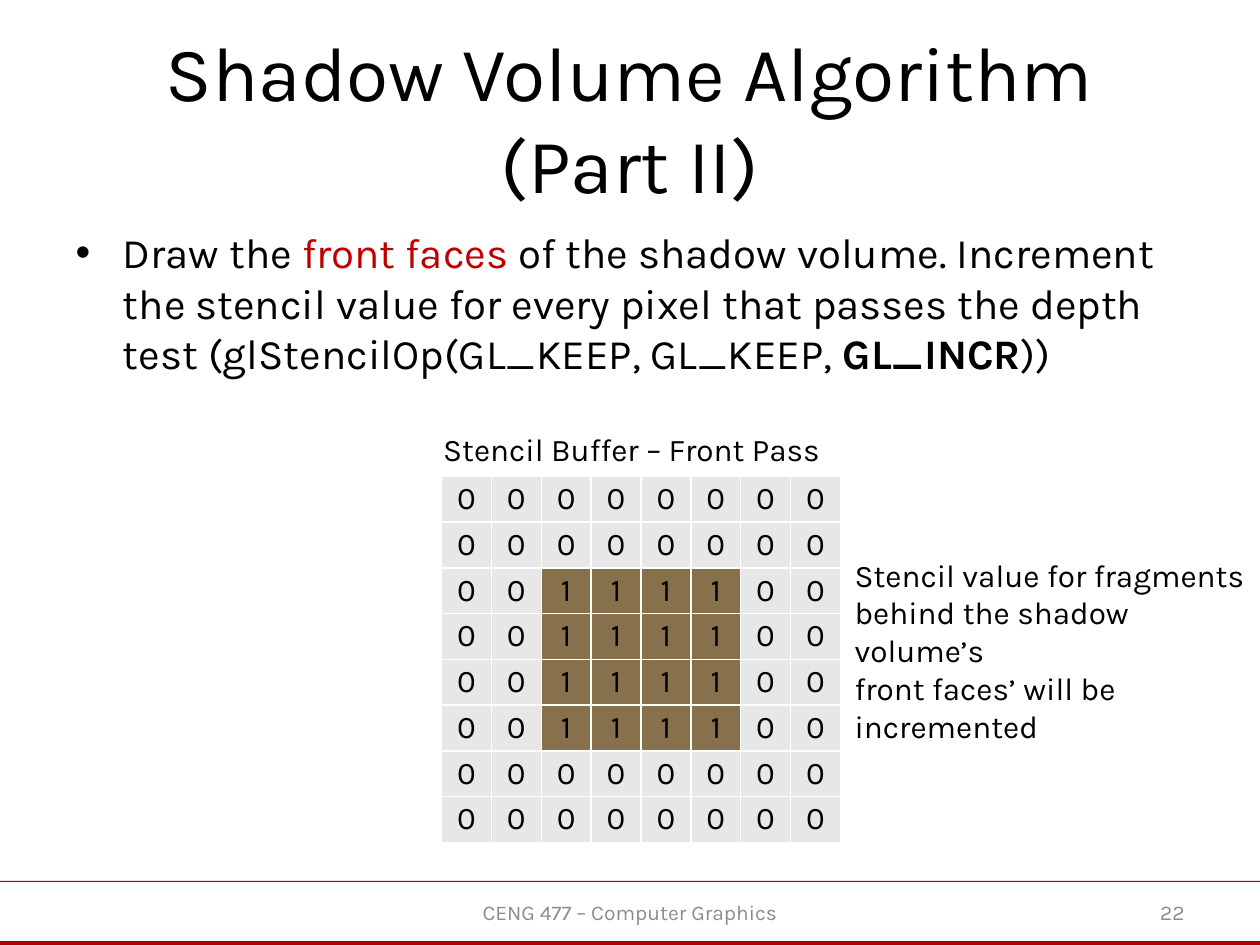
"""Build the slide on the front pass of the shadow volume algorithm."""
from lxml.etree import SubElement
from pptx import Presentation
from pptx.dml.color import RGBColor
from pptx.enum.shapes import MSO_SHAPE as Shape
from pptx.enum.text import MSO_ANCHOR as Anchor, MSO_AUTO_SIZE as AutoSize, PP_ALIGN as Align
from pptx.oxml.ns import qn
from pptx.util import Pt

BLACK = RGBColor(0x00, 0x00, 0x00)
WHITE = RGBColor(0xFF, 0xFF, 0xFF)
GRAY = RGBColor(0x8C, 0x8C, 0x8C)
RED = RGBColor(0xC0, 0x00, 0x00)
RULE_RED = RGBColor(0xAD, 0x01, 0x01)
LIT = RGBColor(0xE7, 0xE7, 0xE7)
SHADOWED = RGBColor(0x87, 0x71, 0x4D)


def add_span(para, text, size, color=BLACK, bold=False):
    span = para.add_run()
    span.text = text
    for name, value in {"name": "Karla", "size": Pt(size), "bold": bold}.items():
        setattr(span.font, name, value)
    span.font.color.rgb = color


def place(box, left, top, width, height, anchor=Anchor.TOP):
    for name, value in {"left": left, "top": top, "width": width, "height": height}.items():
        setattr(box, name, Pt(value))
    frame_format = {"word_wrap": True, "auto_size": AutoSize.NONE, "vertical_anchor": anchor}
    for name, value in frame_format.items():
        setattr(box.text_frame, name, value)


deck = Presentation()
deck.slide_width, deck.slide_height = Pt(720), Pt(540)
page = deck.slides.add_slide(deck.slide_layouts[1])

for top, height in ((503.3, 0.72), (537.84, 2.16)):
    rule = page.shapes.add_shape(Shape.RECTANGLE, Pt(0), Pt(top), Pt(720), Pt(height))
    rule.shadow.inherit = False
    rule.fill.solid()
    rule.fill.fore_color.rgb = RULE_RED
    rule.line.fill.background()

title = page.shapes.title
place(title, 36, 21.6, 648, 90, Anchor.MIDDLE)
title_para = title.text_frame.paragraphs[0]
title_para.alignment = Align.CENTER
add_span(title_para, "Shadow Volume Algorithm (Part II)", 44)

body = page.placeholders[1]
place(body, 36, 126, 648, 356.4)
body_para = body.text_frame.paragraphs[0]
body_para.space_before = Pt(0)
bullet_format = body_para._p.get_or_add_pPr()
bullet_format.set("marL", str(Pt(27)))
bullet_format.set("indent", str(Pt(-27)))
SubElement(bullet_format, qn("a:buFont"), typeface="Arial")
SubElement(bullet_format, qn("a:buChar"), char="•")
for text, color, bold in (
    ("Draw the ", BLACK, False),
    ("front faces", RED, False),
    (" of the shadow volume. Increment the stencil value for every pixel that passes "
     "the depth test (glStencilOp(GL_KEEP, GL_KEEP, ", BLACK, False),
    ("GL_INCR", BLACK, True),
    ("))", BLACK, False),
):
    add_span(body_para, text, 24, color, bold)

GRID = 8
SHADOW_RANGE = range(2, 6)
table_frame = page.shapes.add_table(GRID, GRID, Pt(252.3), Pt(272.2), Pt(228), Pt(212.4))
stencil = table_frame.table
stencil.first_row = stencil.horz_banding = False
for index in range(GRID):
    stencil.columns[index].width = Pt(28.5)
    stencil.rows[index].height = Pt(20.16)
cell_format = {"margin_left": Pt(5), "margin_right": Pt(5),
               "margin_top": Pt(2.5), "margin_bottom": Pt(2.5)}
for row in range(GRID):
    for column in range(GRID):
        cell = stencil.cell(row, column)
        for name, value in cell_format.items():
            setattr(cell, name, value)
        in_shadow = row in SHADOW_RANGE and column in (2, 3, 4, 5)
        for side in ("lnL", "lnR", "lnT", "lnB"):
            border = SubElement(cell._tc.get_or_add_tcPr(), qn(f"a:{side}"), w=str(Pt(1)))
            border_fill = SubElement(border, qn("a:solidFill"))
            SubElement(border_fill, qn("a:srgbClr"), val=str(WHITE))
        cell.fill.solid()
        cell.fill.fore_color.rgb = SHADOWED if in_shadow else LIT
        para = cell.text_frame.paragraphs[0]
        para.alignment = Align.CENTER
        add_span(para, "1" if in_shadow else "0", 18)

for lines, bounds, size, color, align, anchor in (
    (["Stencil Buffer – Front Pass"], (246.2, 242, 257.8, 29), 18, BLACK, Align.LEFT, Anchor.TOP),
    (["CENG 477 – Computer Graphics"], (246, 507, 228, 28.8), 12, GRAY, Align.CENTER, Anchor.MIDDLE),
    (["22"], (516, 507, 168, 28.8), 12, GRAY, Align.RIGHT, Anchor.MIDDLE),
    (["Stencil value for fragments", "behind the shadow volume’s",
      "front faces’ will be incremented"],
     (481.2, 314, 245.5, 72.7), 18, BLACK, Align.LEFT, Anchor.TOP),
):
    box = page.shapes.add_textbox(*map(Pt, bounds))
    place(box, *bounds, anchor)
    for index, line in enumerate(lines):
        para = box.text_frame.add_paragraph() if index else box.text_frame.paragraphs[0]
        para.alignment = align
        add_span(para, line, size, color)

deck.save("out.pptx")
